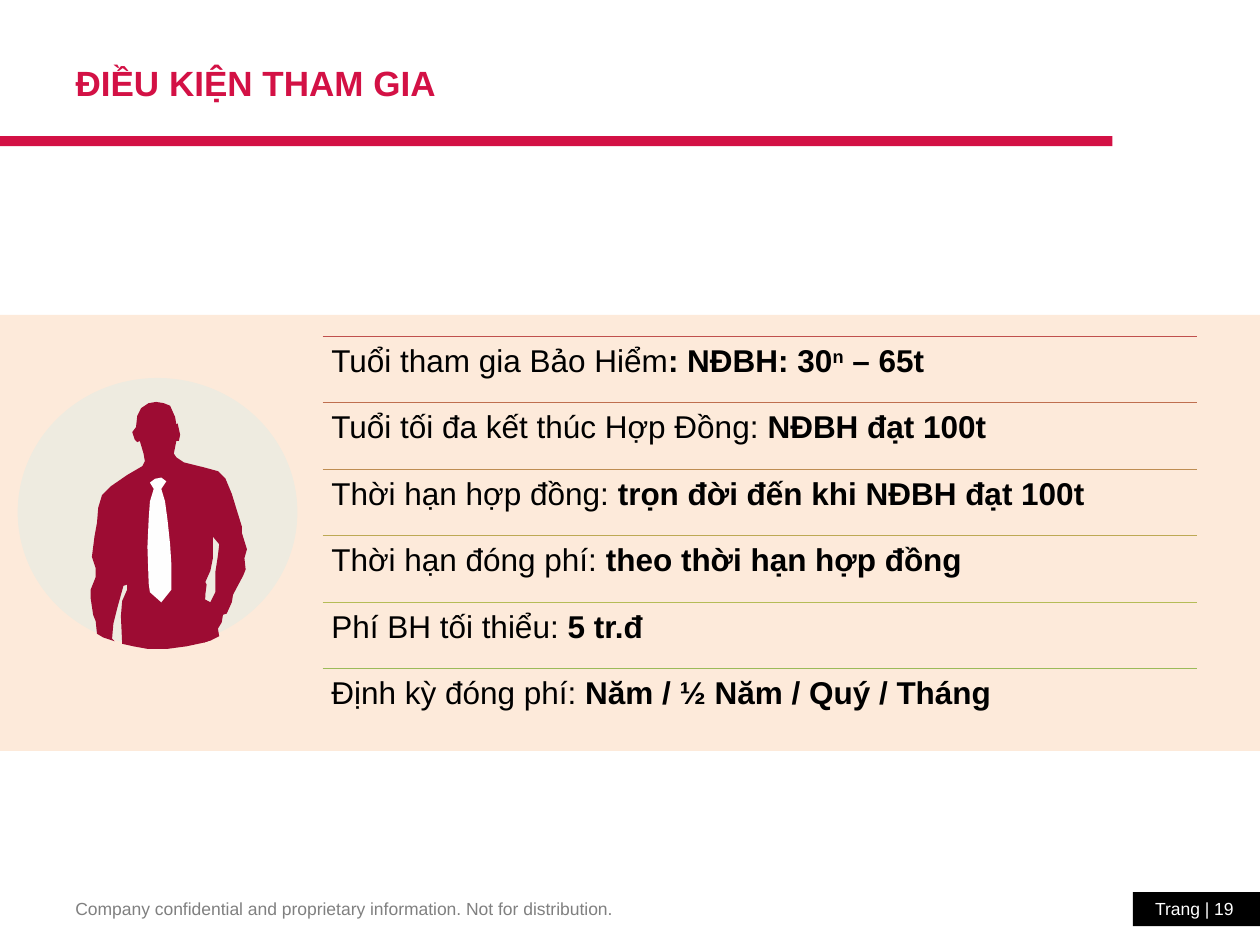
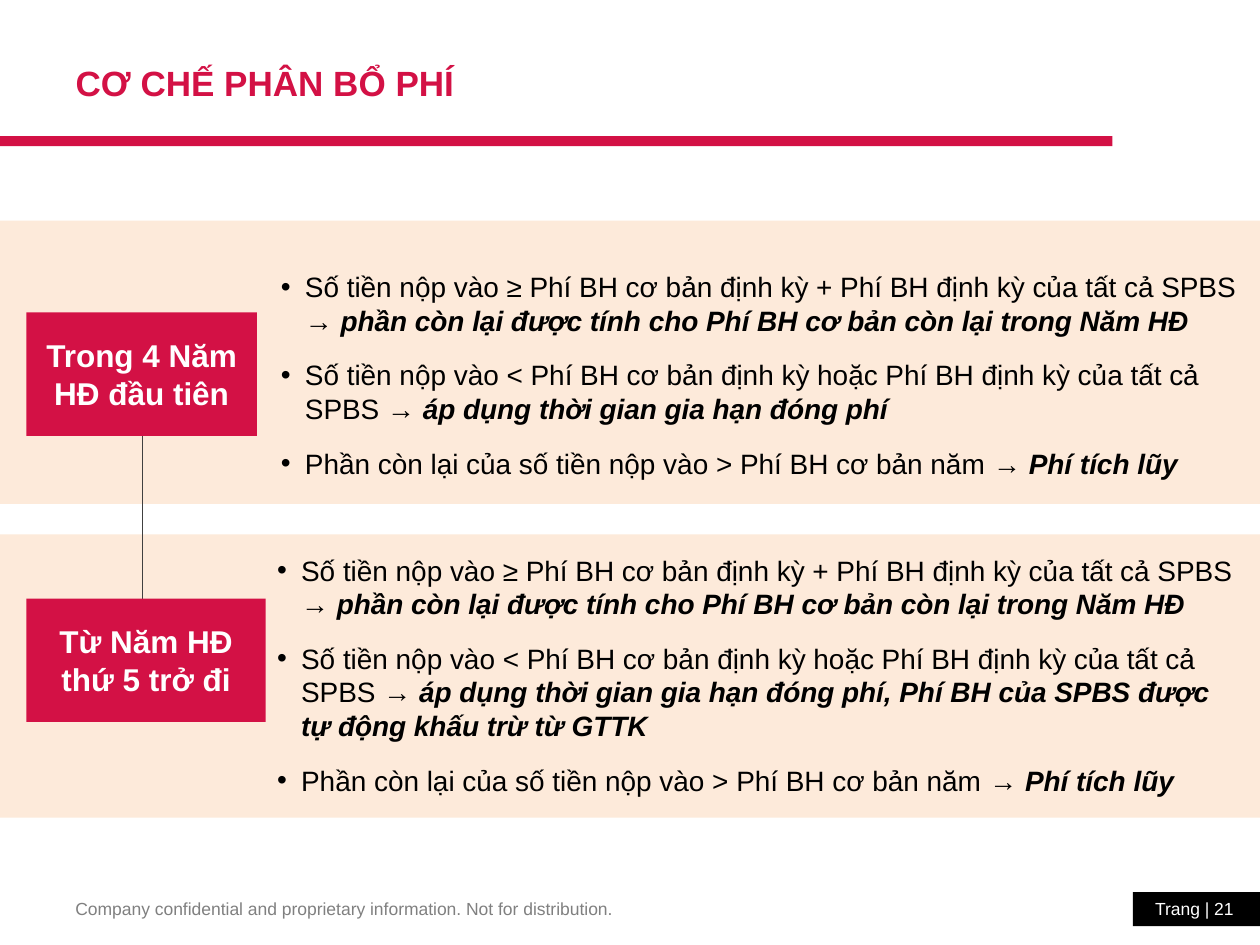
"""Build two insurance slides: joining conditions and premium allocation."""
from dataclasses import dataclass
from typing import NamedTuple

from lxml.etree import SubElement
from pptx import Presentation
from pptx.dml.color import RGBColor
from pptx.enum.shapes import MSO_CONNECTOR, MSO_SHAPE
from pptx.enum.text import MSO_ANCHOR, MSO_AUTO_SIZE, PP_ALIGN
from pptx.oxml.ns import qn
from pptx.shapes.autoshape import Shape
from pptx.slide import Slide
from pptx.text.text import TextFrame, _Paragraph
from pptx.util import Emu, Inches, Pt

CELL = Inches(0.25)
COLUMNS, ROWS = 40, 30
HUNDREDTH = Inches(0.01)


@dataclass(frozen=True)
class Theme:
    """Colours, font and type sizes of the deck."""

    font: str = "Arial"
    red: str = "D31145"
    band: str = "FDEADA"
    disc: str = "EEEBE0"
    suit: str = "9D0C33"
    tie: str = "FEFEFE"
    link: str = "404040"
    footer: str = "808080"
    black: str = "000000"
    white: str = "FFFFFF"
    title_size: int = 20
    row_size: int = 18
    list_size: int = 16
    footer_size: int = 10


THEME = Theme()


class Box(NamedTuple):
    """A rectangle in grid columns and rows."""

    left: float
    top: float
    width: float
    height: float

    def lengths(self) -> tuple[Emu, ...]:
        """Return the four lengths in slide units."""
        return tuple(Emu(round(value * CELL)) for value in self)


class Span(NamedTuple):
    """A stretch of text with one style."""

    text: str
    bold: bool = False
    italic: bool = False
    raised: bool = False


class Condition(NamedTuple):
    """A ruled row of the conditions list."""

    rule_color: str
    spans: list[Span]


class Period(NamedTuple):
    """A contract period with its band, label and rules."""

    band_top: float
    label: str
    label_box: Box
    list_box: Box
    shortfall: str


BAR = Box(0, 4.32, 35.32, 0.32)
TITLE = Box(2, 0.92, 33.64, 3.4)
NOTICE = Box(2, 28.32, 16.48, 1.08)
PAGE = Box(35.96, 28.32, 4.04, 1.08)
CONDITION_BAND = Box(0, 10, COLUMNS, 13.84)
FIRST_CONDITION = Box(10.24, 10.68, 27.76, 2.11)
DISC = Box(0.56, 12, 8.88, 8.52)
PERIOD_BAND_HEIGHT = 9

CONDITIONS = [
    Condition("C0504D", [Span("Tuổi tham gia Bảo Hiểm"), Span(": NĐBH: 30", True),
                         Span("n", True, raised=True), Span(" – 65t", True)]),
    Condition("BF6F4F", [Span("Tuổi tối đa kết thúc Hợp Đồng: "), Span("NĐBH đạt 100t", True)]),
    Condition("BE8D52", [Span("Thời hạn hợp đồng: "),
                         Span("trọn đời đến khi NĐBH đạt 100t", True)]),
    Condition("BDA954", [Span("Thời hạn đóng phí: "), Span("theo thời hạn hợp đồng", True)]),
    Condition("B5BC57", [Span("Phí BH tối thiểu: "), Span("5 tr.đ", True)]),
    Condition("9BBB59", [Span("Định kỳ đóng phí: "), Span("Năm / ½ Năm / Quý / Tháng", True)]),
]

PERIODS = [
    Period(7, "Trong 4 Năm HĐ đầu tiên", Box(0.84, 9.92, 7.32, 3.92),
           Box(8.52, 8.36, 31.48, 7.12), "→ áp dụng thời gian gia hạn đóng phí"),
    Period(16.96, "Từ Năm HĐ thứ 5 trở đi", Box(0.84, 19, 7.6, 3.92),
           Box(8.4, 17.36, 31.48, 8.2),
           "→ áp dụng thời gian gia hạn đóng phí, Phí BH của SPBS được tự động khấu trừ từ GTTK"),
]

MAN = [
    (169, 426), (174, 432), (173, 441), (171, 454), (171, 470), (167, 478), (163, 476),
    (162, 510), (168, 508), (174, 505), (173, 499), (176, 494), (177, 488), (180, 487),
    (184, 478), (185, 472), (193, 457), (195, 452), (194, 443), (196, 436), (192, 423),
    (192, 418), (188, 405), (184, 392), (179, 380), (173, 374), (162, 371), (146, 367),
    (140, 363), (138, 360), (140, 350), (142, 350), (143, 345), (141, 336), (140, 337),
    (139, 331), (135, 322), (130, 320), (124, 319), (118, 320), (112, 324), (109, 330),
    (108, 339), (105, 343), (107, 349), (109, 351), (111, 350), (114, 360), (115, 366),
    (113, 370), (101, 377), (88, 386), (81, 393), (78, 403), (77, 415), (75, 426),
    (73, 442), (76, 451), (76, 458), (72, 468), (72, 475), (74, 488), (76, 493),
    (77, 503), (82, 506), (91, 509), (89, 507), (90, 495), (93, 483), (98, 465),
    (101, 464), (101, 468), (97, 477), (96, 489), (97, 511), (106, 513), (117, 515),
    (133, 515), (148, 513), (162, 510), (163, 472), (164, 464), (163, 462), (167, 453),
    (169, 443),
]
HAND = [(166, 478), (163, 476), (162, 510), (168, 508), (167, 478)]
TIE = [
    (118, 412), (117, 434), (118, 463), (119, 470), (128, 478), (136, 468), (136, 448),
    (135, 432), (133, 413), (131, 398), (128, 388), (132, 382), (128, 379), (123, 380),
    (119, 383), (122, 388), (119, 398),
]


def color(value: str) -> RGBColor:
    """Turn a hex string into a colour."""
    return RGBColor.from_string(value)


def paint(shape: Shape, fill: str) -> Shape:
    """Give a shape a flat fill with no line or shadow."""
    shape.shadow.inherit = False
    shape.fill.solid()
    shape.fill.fore_color.rgb = color(fill)
    shape.line.fill.background()
    return shape


def add_block(slide: Slide, box: Box, fill: str,
              kind: MSO_SHAPE = MSO_SHAPE.RECTANGLE) -> Shape:
    """Add a flat preset shape."""
    return paint(slide.shapes.add_shape(kind, *box.lengths()), fill)


def add_band(slide: Slide, box: Box) -> None:
    """Add a background band behind everything else."""
    element = add_block(slide, box, THEME.band).element
    element.getparent().insert(2, element)


def add_line(slide: Slide, start: tuple[float, float], end: tuple[float, float],
             line_color: str) -> None:
    """Add a thin straight line between two grid points."""
    points = [Emu(round(value * CELL)) for value in (*start, *end)]
    line = slide.shapes.add_connector(MSO_CONNECTOR.STRAIGHT, *points)
    line.line.color.rgb = color(line_color)
    line.line.width = Pt(0.75)
    SubElement(line.element.spPr, qn("a:effectLst"))


def add_outline(slide: Slide, points: list[tuple[int, int]], fill: str) -> None:
    """Add a closed outline given in hundredths of an inch."""
    builder = slide.shapes.build_freeform(*points[0], scale=HUNDREDTH)
    builder.add_line_segments(points[1:], close=True)
    paint(builder.convert_to_shape(), fill)


def write(paragraph: _Paragraph, spans: list[Span], size: int, text_color: str,
          align: PP_ALIGN = PP_ALIGN.LEFT) -> None:
    """Fill a paragraph with styled spans."""
    paragraph.alignment = align
    font = paragraph.font
    font.name, font.size = THEME.font, Pt(size)
    font.color.rgb = color(text_color)
    for span in spans:
        run = paragraph.add_run()
        run.text = span.text
        run.font.bold, run.font.italic = span.bold, span.italic
        if span.raised:
            run.font._element.set("baseline", "30000")


def set_frame(shape: Shape, anchor: MSO_ANCHOR = MSO_ANCHOR.TOP) -> TextFrame:
    """Make a shape's text wrap at a fixed size."""
    frame = shape.text_frame
    frame.word_wrap = True
    frame.auto_size = MSO_AUTO_SIZE.NONE
    frame.vertical_anchor = anchor
    return frame


def place(shape: Shape, box: Box) -> None:
    """Move a placeholder to a box."""
    shape.left, shape.top, shape.width, shape.height = box.lengths()


def add_slide(presentation: Presentation, layout: int, title: str, page: int) -> Slide:
    """Add a slide with the shared title, bar and footer."""
    slide = presentation.slides.add_slide(presentation.slide_layouts[layout])
    place(slide.shapes.title, TITLE)
    frame = set_frame(slide.shapes.title, MSO_ANCHOR.MIDDLE)
    write(frame.paragraphs[0], [Span(title, True)], THEME.title_size, THEME.red)
    add_block(slide, BAR, THEME.red)
    notice = set_frame(slide.shapes.add_textbox(*NOTICE.lengths()))
    notice.word_wrap = False
    write(notice.paragraphs[0],
          [Span("Company confidential and proprietary information. Not for distribution.")],
          THEME.footer_size, THEME.footer)
    number = set_frame(add_block(slide, PAGE, THEME.black))
    number.margin_left, number.margin_right = 0, Inches(0.21)
    write(number.paragraphs[0], [Span(f"Trang | {page}")], THEME.footer_size, THEME.white,
          PP_ALIGN.RIGHT)
    return slide


def add_condition(slide: Slide, condition: Condition, box: Box) -> None:
    """Add a ruled row of text."""
    add_line(slide, (box.left, box.top), (box.left + box.width, box.top), condition.rule_color)
    frame = set_frame(slide.shapes.add_textbox(*box.lengths()))
    frame.margin_left = frame.margin_right = Inches(0.07)
    frame.margin_top = frame.margin_bottom = Inches(0.07)
    paragraph = frame.paragraphs[0]
    paragraph.line_spacing, paragraph.space_after = 0.9, Pt(2)
    write(paragraph, condition.spans, THEME.row_size, THEME.black)


def build_conditions(presentation: Presentation) -> None:
    """Build the slide of joining conditions."""
    slide = add_slide(presentation, 5, "ĐIỀU KIỆN THAM GIA", 19)
    add_band(slide, CONDITION_BAND)
    for index, condition in enumerate(CONDITIONS):
        top = FIRST_CONDITION.top + index * FIRST_CONDITION.height
        add_condition(slide, condition, FIRST_CONDITION._replace(top=top))
    add_block(slide, DISC, THEME.disc, MSO_SHAPE.OVAL)
    for points, fill in ((MAN, THEME.suit), (HAND, THEME.suit), (TIE, THEME.tie)):
        add_outline(slide, points, fill)


def add_rules(shape: Shape, period: Period) -> None:
    """Fill a body placeholder with the period's bulleted rules."""
    place(shape, period.list_box)
    frame = set_frame(shape)
    rules = [
        ("Số tiền nộp vào ≥ Phí BH cơ bản định kỳ + Phí BH định kỳ của tất cả SPBS ",
         "→ phần còn lại được tính cho Phí BH cơ bản còn lại trong Năm HĐ"),
        ("Số tiền nộp vào < Phí BH cơ bản định kỳ hoặc Phí BH định kỳ của tất cả SPBS ",
         period.shortfall),
        ("Phần còn lại của số tiền nộp vào > Phí BH cơ bản năm ", "→ Phí tích lũy"),
    ]
    for index, (case, result) in enumerate(rules):
        paragraph = frame.add_paragraph() if index else frame.paragraphs[0]
        paragraph.space_before = paragraph.space_after = Pt(6)
        properties = paragraph._p.get_or_add_pPr()
        properties.set("marL", str(Inches(0.19)))
        properties.set("indent", str(-Inches(0.19)))
        write(paragraph, [Span(case), Span(result, True, True)], THEME.list_size, THEME.black)


def build_allocation(presentation: Presentation) -> None:
    """Build the slide of premium allocation."""
    slide = add_slide(presentation, 3, "CƠ CHẾ PHÂN BỔ PHÍ", 21)
    add_line(slide, (4.52, 12), (4.52, 20), THEME.link)
    for index, period in enumerate(PERIODS, start=1):
        add_band(slide, Box(0, period.band_top, COLUMNS, PERIOD_BAND_HEIGHT))
        label = set_frame(add_block(slide, period.label_box, THEME.red), MSO_ANCHOR.MIDDLE)
        write(label.paragraphs[0], [Span(period.label, True)], THEME.row_size, THEME.white,
              PP_ALIGN.CENTER)
        add_rules(slide.placeholders[index], period)


def main() -> None:
    """Build and save the deck."""
    presentation = Presentation()
    presentation.slide_width, presentation.slide_height = COLUMNS * CELL, ROWS * CELL
    build_conditions(presentation)
    build_allocation(presentation)
    presentation.save("out.pptx")


if __name__ == "__main__":
    main()
